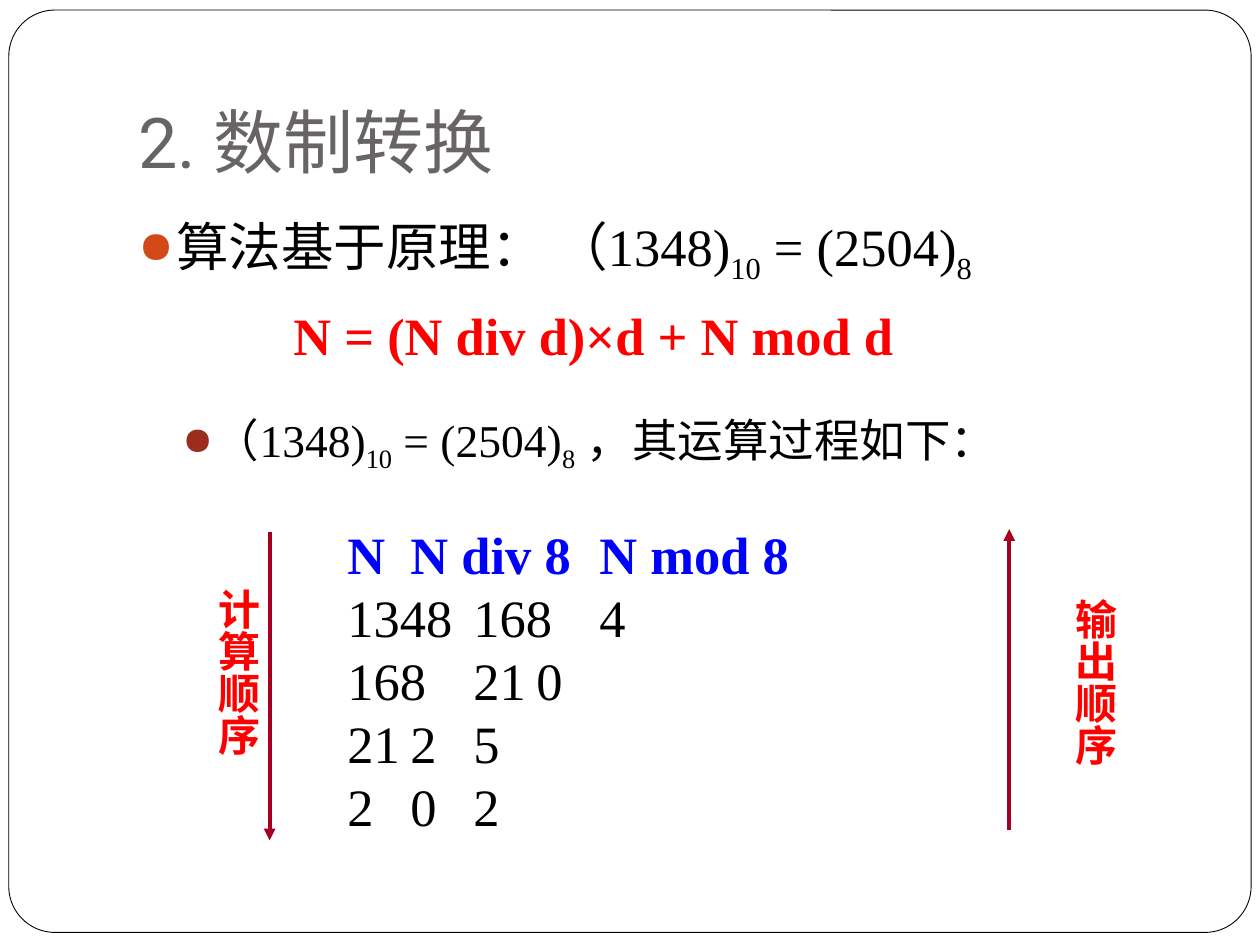
import dataclasses

import pptx
import pptx.dml.color
import pptx.enum.shapes
import pptx.enum.text
import pptx.oxml
import pptx.oxml.ns
import pptx.util

Inches = pptx.util.Inches
Pt = pptx.util.Pt
qn = pptx.oxml.ns.qn
Anchor = pptx.enum.text.MSO_ANCHOR


@dataclasses.dataclass(frozen=True)
class Theme:
    serif: str = "Times New Roman"
    title_font: str = "Roboto"
    label_font: str = "Lato"
    black: str = "000000"
    white: str = "FFFFFF"
    gray: str = "696464"
    red: str = "FF0000"
    blue: str = "0000FF"
    arrow: str = "A50021"
    bullet: str = "D34817"
    sub_bullet: str = "9B2D1F"
    title_size: int = 40
    body_size: int = 30
    sub_size: int = 26
    label_size: int = 24


THEME = Theme()


def color(code):
    return pptx.dml.color.RGBColor.from_string(code)


def add_child(parent, tag, **attributes):
    child = pptx.oxml.parse_xml(f'<{tag} {pptx.oxml.ns.nsdecls("a")}/>')
    for name, value in attributes.items():
        child.set(name, str(value))
    parent.append(child)
    return child


def add_text(para, text, font=THEME.serif, size=THEME.body_size,
             fill=THEME.black, bold=False, baseline=0):
    span = para.add_run()
    span.text = text
    span.font.name = font
    span.font.size = Pt(size)
    span.font.bold = bold
    span.font.color.rgb = color(fill)
    if baseline:
        span.font._element.set("baseline", str(baseline * 1000))


def add_box(page, area, anchor=Anchor.TOP, insets=(0.1, 0.05, 0.1, 0.05)):
    box = page.shapes.add_textbox(*map(Inches, area))
    frame = box.text_frame
    frame.word_wrap = True
    frame.vertical_anchor = anchor
    (frame.margin_left, frame.margin_top,
     frame.margin_right, frame.margin_bottom) = map(Inches, insets)
    return frame


def format_para(para, margin=0, indent=0, line=None, before=0, bullet=None, tabs=()):
    para.line_spacing = Pt(line)
    para.space_before = Pt(before)
    settings = para._p.get_or_add_pPr()
    settings.set("marL", str(Inches(margin)))
    settings.set("indent", str(Inches(indent)))
    if bullet:
        add_child(add_child(settings, "a:buClr"), "a:srgbClr", val=bullet)
        add_child(settings, "a:buSzPct", val=85000)
        add_child(settings, "a:buChar", char="●")
    if tabs:
        stops = add_child(settings, "a:tabLst")
        for stop in tabs:
            add_child(stops, "a:tab", pos=Inches(stop), algn="r")


def add_frame(page, area):
    border = page.shapes.add_shape(
        pptx.enum.shapes.MSO_SHAPE.ROUNDED_RECTANGLE, *map(Inches, area))
    border.adjustments[0] = 0.05
    border.shadow.inherit = False
    border.fill.solid()
    border.fill.fore_color.rgb = color(THEME.white)
    border.line.color.rgb = color(THEME.black)
    border.line.width = Pt(0.5)


def add_title(page, area, text):
    frame = add_box(page, area, Anchor.BOTTOM, (0.1, 0.05, 0.1, 0.1))
    add_text(frame.paragraphs[0], text, font=THEME.title_font,
             size=THEME.title_size, fill=THEME.gray)


def add_equation(para, lead, tail, size):
    for text, baseline in ((lead + "（1348)", 0), ("10", -25),
                           (" = (2504)", 0), ("8", -25), (tail, 0)):
        if text:
            add_text(para, text, size=size, baseline=baseline)


def add_principle(page, area):
    frame = add_box(page, area)
    principle = frame.paragraphs[0]
    format_para(principle, 0.3, -0.3, line=46, bullet=THEME.bullet)
    add_equation(principle, "算法基于原理： ", "", THEME.body_size)
    formula = frame.add_paragraph()
    format_para(formula, 1.23, line=46)
    add_text(formula, "N = (N div d)×d + N mod d", fill=THEME.red, bold=True)
    process = frame.add_paragraph()
    process.level = 1
    format_para(process, 0.6, -0.25, line=46, before=15.6, bullet=THEME.sub_bullet)
    add_equation(process, "", " ，其运算过程如下：", THEME.sub_size)


def add_division_steps(page, area, number, base):
    frame = add_box(page, area, Anchor.BOTTOM, (0.1, 0.05, 0.1, 0.1))
    heading = frame.paragraphs[0]
    format_para(heading, line=36, tabs=(1.03, 3.02, 5.16))
    add_text(heading, f"\tN\tN div {base}\tN mod {base}", fill=THEME.blue, bold=True)
    while number:
        quotient, remainder = divmod(number, base)
        step = frame.add_paragraph()
        format_para(step, line=36, tabs=(1.03, 3.02, 5.1))
        add_text(step, f"\t{number}\t{quotient}\t{remainder}")
        number = quotient


def add_order_label(page, area, text):
    frame = add_box(page, area, insets=(0.05, 0.1, 0.05, 0.1))
    frame._txBody.find(qn("a:bodyPr")).set("vert", "eaVert")
    add_text(frame.paragraphs[0], text, font=THEME.label_font,
             size=THEME.label_size, fill=THEME.red, bold=True)


def add_order_arrow(page, x, start, end):
    arrow = page.shapes.add_connector(
        pptx.enum.shapes.MSO_CONNECTOR.STRAIGHT,
        Inches(x), Inches(start), Inches(x), Inches(end))
    arrow.line.color.rgb = color(THEME.arrow)
    arrow.line.width = Pt(2.25)
    add_child(arrow.line._get_or_add_ln(), "a:tailEnd", type="triangle")
    add_child(arrow._element.spPr, "a:effectLst")


def main():
    deck = pptx.Presentation()
    deck.slide_width, deck.slide_height = Inches(10), Inches(7.5)
    page = deck.slides.add_slide(deck.slide_layouts[6])
    add_frame(page, (0.07, 0.08, 9.86, 7.32))
    add_title(page, (1, 0.3, 8.5, 1.25), "2. 数制转换")
    add_principle(page, (1, 1.58, 8.5, 5))
    add_division_steps(page, (2.16, 3.75, 5.9, 2.99), 1348, 8)
    add_order_arrow(page, 2.14, 4.22, 6.67)
    add_order_label(page, (1.54, 4.57, 0.6, 1.86), "计算顺序")
    add_order_arrow(page, 8.01, 6.59, 4.2)
    add_order_label(page, (8.34, 4.65, 0.6, 1.64), "输出顺序")
    deck.save("out.pptx")


if __name__ == "__main__":
    main()
